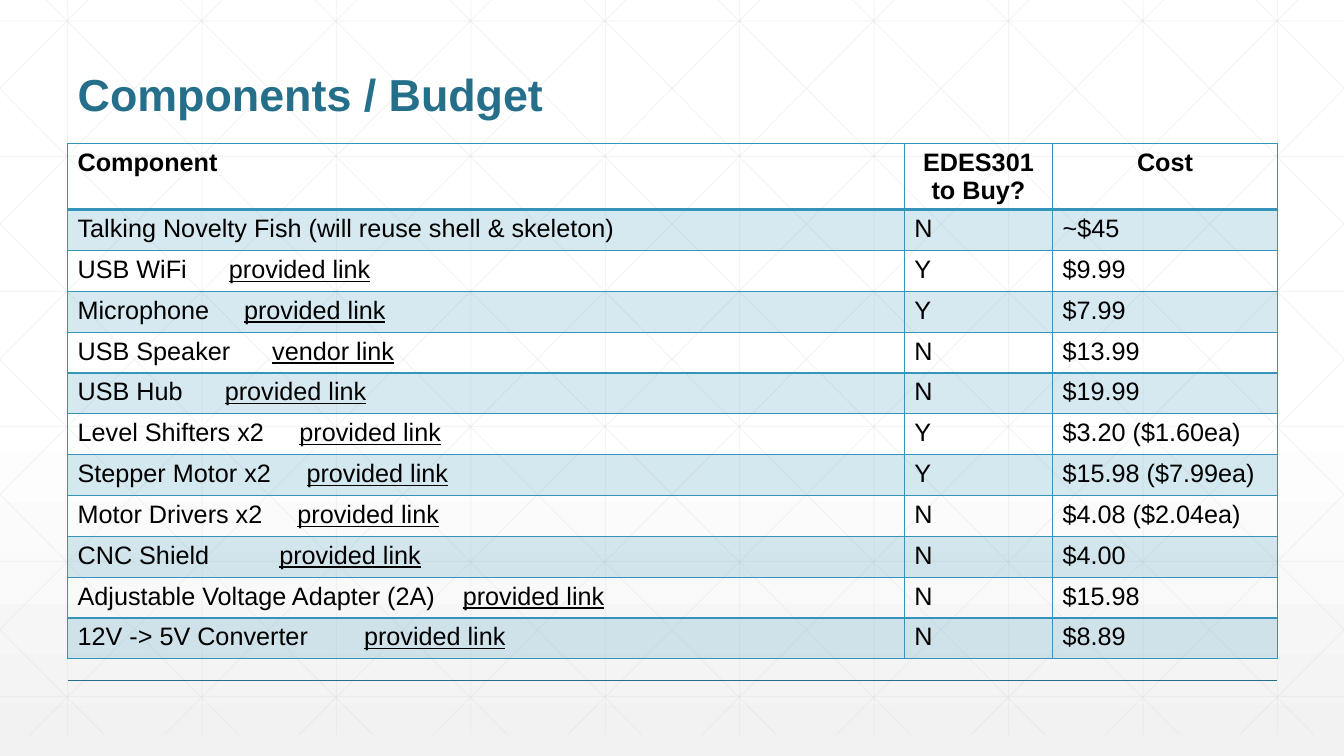
"""Build the components and budget slide with its table and lattice background."""
from lxml.etree import SubElement
from pptx import Presentation
from pptx.dml.color import RGBColor
from pptx.enum.shapes import MSO_CONNECTOR as Connector
from pptx.enum.text import MSO_ANCHOR as Anchor, MSO_AUTO_SIZE as AutoSize, PP_ALIGN as Align
from pptx.oxml import parse_xml
from pptx.oxml.ns import nsdecls, qn
from pptx.util import Inches, Pt

TITLE = "Components / Budget"
HEADERS = ["Component", "EDES301\nto Buy?", "Cost"]
COMPONENTS = [
    ("Talking Novelty Fish (will reuse shell & skeleton)", None, None, "N", "~$45"),
    ("USB WiFi", "provided link", 1.5, "Y", "$9.99"),
    ("Microphone", "provided link", 1.65, "Y", "$7.99"),
    ("USB Speaker", "vendor link", 1.93, "N", "$13.99"),
    ("USB Hub", "provided link", 1.46, "N", "$19.99"),
    ("Level Shifters x2", "provided link", 2.2, "Y", "$3.20 ($1.60ea)"),
    ("Stepper Motor x2", "provided link", 2.27, "Y", "$15.98 ($7.99ea)"),
    ("Motor Drivers x2", "provided link", 2.18, "N", "$4.08 ($2.04ea)"),
    ("CNC Shield", "provided link", 2, "N", "$4.00"),
    ("Adjustable Voltage Adapter (2A)", "provided link", 3.82, "N", "$15.98"),
    ("12V -> 5V Converter", "provided link", 2.84, "N", "$8.89"),
]
COLORS = {"title": "266F8B", "accent": "3494BA", "text": "000000",
          "lattice": "D8D8D8", "top": "FFFFFF", "bottom": "F2F2F2"}
TITLE_FONT = {"name": "Arial", "size": Pt(32), "bold": True}
HEADER_FONT = {"name": "Arial", "size": Pt(18), "bold": True}
BODY_FONT = {"name": "Arial", "size": Pt(18), "bold": False}

WIDTH, HEIGHT = 13.33, 7.5
LEFT, CONTENT_WIDTH = 0.67, 12
TABLE_TOP, BODY_TOP, TABLE_BOTTOM = 1.42, 2.08, 6.54
COLUMN_WIDTHS = [8.3, 1.47, 2.23]
RULE_Y = 6.75
LATTICE_TOP, LATTICE_BOTTOM = -0.21, 7.29
LATTICE_STEP, ROW_STEP = 4 / 3, 1.34
DIAGONAL_START, DIAGONAL_RUN = 0.25, 7.45


def rgb(name):
    return RGBColor.from_string(COLORS[name])


def set_font(font, values, color):
    for name, value in values.items():
        setattr(font, name, value)
    font.color.rgb = rgb(color)


def set_alpha(element, percent):
    for color in element.iter(qn("a:srgbClr")):
        SubElement(color, qn("a:alpha"), val=str(percent * 1000))


def add_line(shapes, start, end, color, points, alpha=None):
    ends = [Inches(value) for value in (*start, *end)]
    line = shapes.add_connector(Connector.STRAIGHT, *ends)
    line.line.color.rgb = rgb(color)
    line.line.width = Pt(points)
    properties = line.element.spPr
    if alpha:
        set_alpha(properties, alpha)
    SubElement(properties, qn("a:effectLst"))


def lattice_lines():
    for column in range(10):
        x = LEFT + column * LATTICE_STEP
        yield (x, LATTICE_TOP), (x, LATTICE_BOTTOM)
    for row in range(6):
        y = -LATTICE_TOP + row * ROW_STEP
        yield (0, y), (WIDTH, y)
    slope = (LATTICE_BOTTOM - LATTICE_TOP) / DIAGONAL_RUN
    for index in range(-5, 10):
        origin = DIAGONAL_START + index * LATTICE_STEP
        x1, x2 = max(origin, 0), min(origin + DIAGONAL_RUN, WIDTH)
        y1, y2 = (LATTICE_TOP + (x - origin) * slope for x in (x1, x2))
        yield (x1, y1), (x2, y2)
        yield (WIDTH - x1, y1), (WIDTH - x2, y2)


def add_borders(cell, row):
    points = {"lnL": 1, "lnR": 1, "lnT": 2 if row == 1 else 1, "lnB": 2 if row == 0 else 1}
    properties = cell._tc.get_or_add_tcPr()
    for index, (side, width) in enumerate(points.items()):
        properties.insert(index, parse_xml(
            f'<a:{side} {nsdecls("a")} w="{Pt(width)}"><a:solidFill>'
            f'<a:srgbClr val="{COLORS["accent"]}"/></a:solidFill></a:{side}>'))


def fill_cell(cell, row, text, centered=False, link=None, tab=None):
    cell.text_frame.text = text
    for para in cell.text_frame.paragraphs:
        if centered:
            para.alignment = Align.CENTER
        if link:
            tabs = SubElement(para._p.get_or_add_pPr(), qn("a:tabLst"))
            SubElement(tabs, qn("a:tab"), pos=str(Inches(tab)), algn="l")
            para.runs[0].text = text + "\t"
            para.add_run().text = link
            para.runs[1].font.underline = True
        for span in para.runs:
            set_font(span.font, BODY_FONT if row else HEADER_FONT, "text")
    if row % 2:
        cell.fill.solid()
        cell.fill.fore_color.rgb = rgb("accent")
        set_alpha(cell._tc.tcPr, 20)
    else:
        cell.fill.background()
    add_borders(cell, row)


def add_title(page):
    title = page.shapes.title
    title.left, title.top, title.width, title.height = map(Inches, (LEFT, 0.25, CONTENT_WIDTH, 1))
    title.element.getparent().append(title.element)
    frame = title.text_frame
    frame.text = TITLE
    frame.vertical_anchor = Anchor.BOTTOM
    frame.auto_size = AutoSize.NONE
    para = frame.paragraphs[0]
    para.alignment = Align.LEFT
    para.line_spacing = 0.9
    set_font(para.runs[0].font, TITLE_FONT, "title")


def add_budget_table(page):
    box = map(Inches, (LEFT, TABLE_TOP, CONTENT_WIDTH, TABLE_BOTTOM - TABLE_TOP))
    table = page.shapes.add_table(len(COMPONENTS) + 1, len(HEADERS), *box).table
    table.first_row = table.horz_banding = False
    for column, width in zip(table.columns, COLUMN_WIDTHS):
        column.width = Inches(width)
    body_height = (TABLE_BOTTOM - BODY_TOP) / len(COMPONENTS)
    for index, row in enumerate(table.rows):
        row.height = Inches(body_height if index else BODY_TOP - TABLE_TOP)
    for column, text in enumerate(HEADERS):
        fill_cell(table.cell(0, column), 0, text, centered=column > 0)
    for row, (component, link, tab, buy, cost) in enumerate(COMPONENTS, 1):
        fill_cell(table.cell(row, 0), row, component, link=link, tab=tab)
        fill_cell(table.cell(row, 1), row, buy)
        fill_cell(table.cell(row, 2), row, cost)


def main():
    deck = Presentation()
    deck.slide_width, deck.slide_height = Inches(WIDTH), Inches(HEIGHT)
    page = deck.slides.add_slide(deck.slide_layouts[5])
    backdrop = page.background.fill
    backdrop.gradient()
    backdrop.gradient_angle = 270
    for stop, name, position in zip(backdrop.gradient_stops, ("top", "bottom"), (0.53, 1)):
        stop.color.rgb = rgb(name)
        stop.position = position
    lattice = page.shapes.add_group_shape()
    for start, end in lattice_lines():
        add_line(lattice.shapes, start, end, "lattice", 0.75, alpha=25)
    add_line(page.shapes, (LEFT, RULE_Y), (LEFT + CONTENT_WIDTH, RULE_Y), "title", 1)
    add_title(page)
    add_budget_table(page)
    deck.save("out.pptx")


if __name__ == "__main__":
    main()
